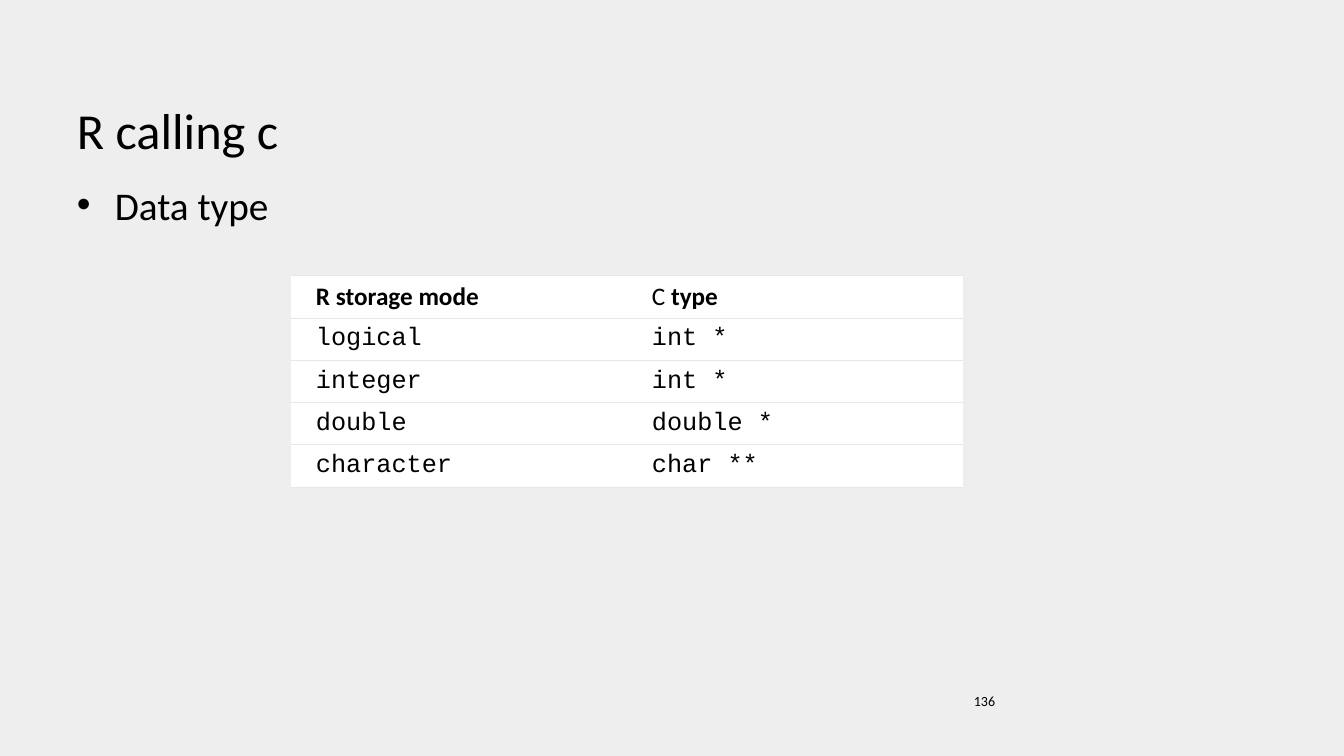
from lxml import etree
from pptx import Presentation
from pptx import util as u
from pptx.dml.color import RGBColor
from pptx.enum import text
from pptx.oxml.ns import qn

PX = 914400 / 100.8  # EMU in one px

THEME = {
    "back": "EEEEEE", "ink": "000000", "cell": "FFFFFF", "rule": "E7E7E7",
    "sans": "Calibri", "mono": "Courier New",
    "title": 36, "body": 28, "table": 18, "number": 10,
    "rule_width": 0.75,
}

HEADER = [[("R storage mode", True)], [("C ", False), ("type", True)]]
TYPES = [
    ("logical", "int *"),
    ("integer", "int *"),
    ("double", "double *"),
    ("character", "char **"),
]


def px(n):
    return u.Emu(round(n * PX))


def color(name):
    return RGBColor.from_string(THEME[name])


def add_run(p, words, size, face="sans", bold=False):
    r = p.add_run()
    r.text = words
    formats = {"name": THEME[face], "size": u.Pt(THEME[size]), "bold": bold}
    for key, value in formats.items():
        setattr(r.font, key, value)
    r.font.color.rgb = color("ink")


def add_text(s, box, words, size, anchor=text.MSO_ANCHOR.TOP):
    tf = s.shapes.add_textbox(*map(px, box)).text_frame
    tf.word_wrap = True
    tf.vertical_anchor = anchor
    p = tf.paragraphs[0]
    add_run(p, words, size)
    return p


def add_bullet(p, indent):
    pPr = p._p.get_or_add_pPr()
    pPr.set("marL", str(px(indent)))
    pPr.set("indent", str(-px(indent)))
    etree.SubElement(pPr, qn("a:buFont"), typeface="Arial")
    etree.SubElement(pPr, qn("a:buChar"), char="•")


def set_borders(cell):
    """Rules above and below, none at the sides."""
    tcPr = cell._tc.get_or_add_tcPr()
    for side in "LR":
        ln = etree.SubElement(tcPr, qn(f"a:ln{side}"), w="0")
        etree.SubElement(ln, qn("a:noFill"))
    for side in "TB":
        ln = etree.SubElement(tcPr, qn(f"a:ln{side}"), w=str(u.Pt(THEME["rule_width"])))
        fill = etree.SubElement(ln, qn("a:solidFill"))
        etree.SubElement(fill, qn("a:srgbClr"), val=THEME["rule"])


def fill_cell(cell, runs, face):
    set_borders(cell)
    cell.fill.solid()
    cell.fill.fore_color.rgb = color("cell")
    formats = {
        "margin_left": px(25), "margin_right": px(25),
        "margin_top": px(6), "margin_bottom": px(6),
        "vertical_anchor": text.MSO_ANCHOR.MIDDLE,
    }
    for key, value in formats.items():
        setattr(cell, key, value)
    for words, bold in runs:
        add_run(cell.text_frame.paragraphs[0], words, "table", face, bold)


def add_type_table(s, left, top, col_width, header_height, row_height):
    rows = [HEADER] + [[[(name, False)] for name in pair] for pair in TYPES]
    height = header_height + row_height * len(TYPES)
    box = map(px, (left, top, col_width * 2, height))
    table = s.shapes.add_table(len(rows), 2, *box).table
    table.first_row = table.horz_banding = False
    for col in table.columns:
        col.width = px(col_width)
    for i, row in enumerate(rows):
        table.rows[i].height = px(row_height if i else header_height)
        for j, runs in enumerate(row):
            fill_cell(table.cell(i, j), runs, "mono" if i else "sans")


def main():
    prs = Presentation()
    prs.slide_width, prs.slide_height = px(1344), px(756)
    s = prs.slides.add_slide(prs.slide_layouts[6])
    s.background.fill.solid()
    s.background.fill.fore_color.rgb = color("back")

    # Body and title
    add_bullet(add_text(s, (67, 176, 1210, 499), "Data type", "body"), 38)
    add_text(s, (67, 39, 1210, 126), "R calling c", "title", text.MSO_ANCHOR.BOTTOM)

    # Slide number
    add_text(s, (964, 688, 313, 52), "136", "number")

    # Matching data types
    add_type_table(s, 291, 275, 336, 43, 41)

    prs.save("out.pptx")


if __name__ == "__main__":
    main()
